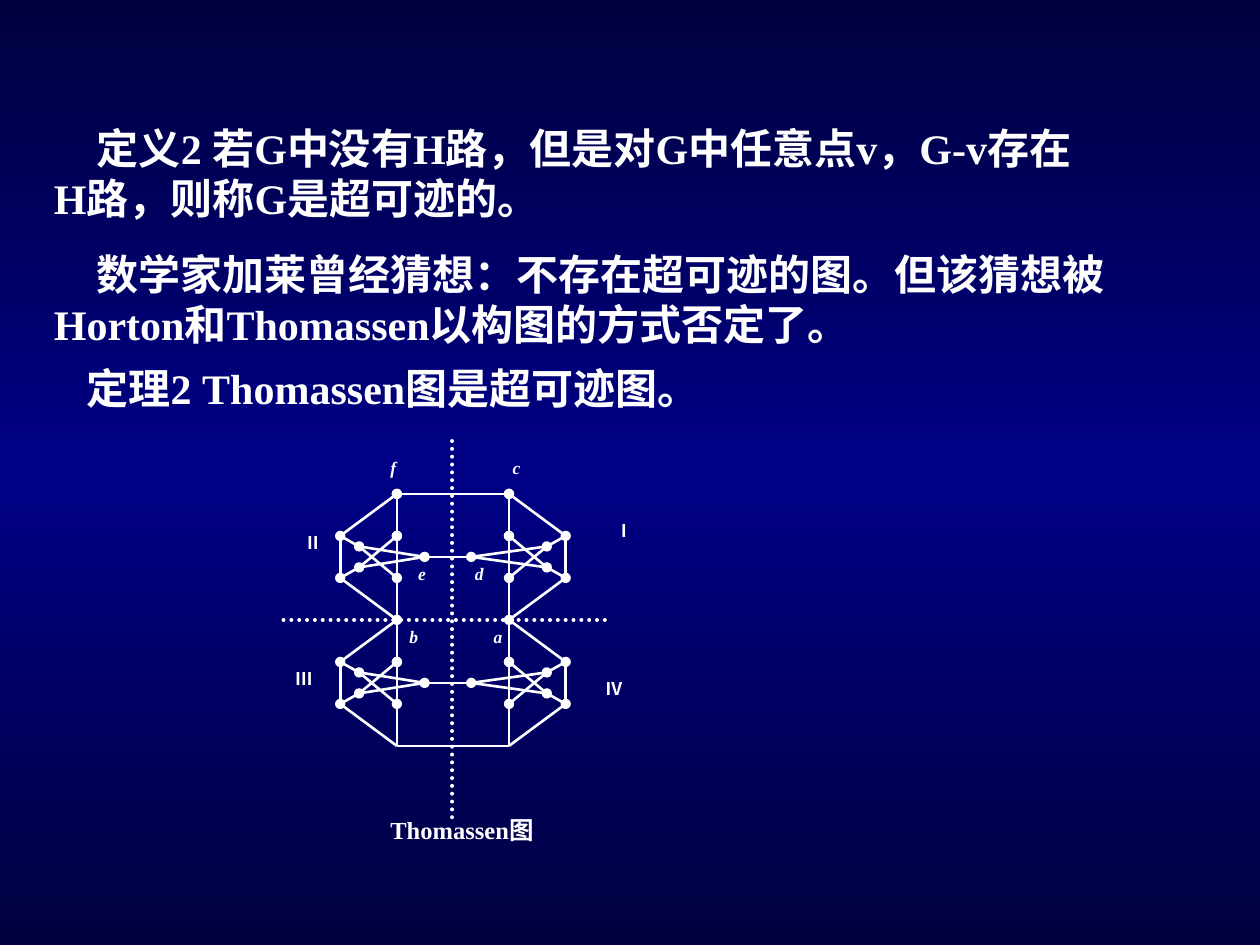
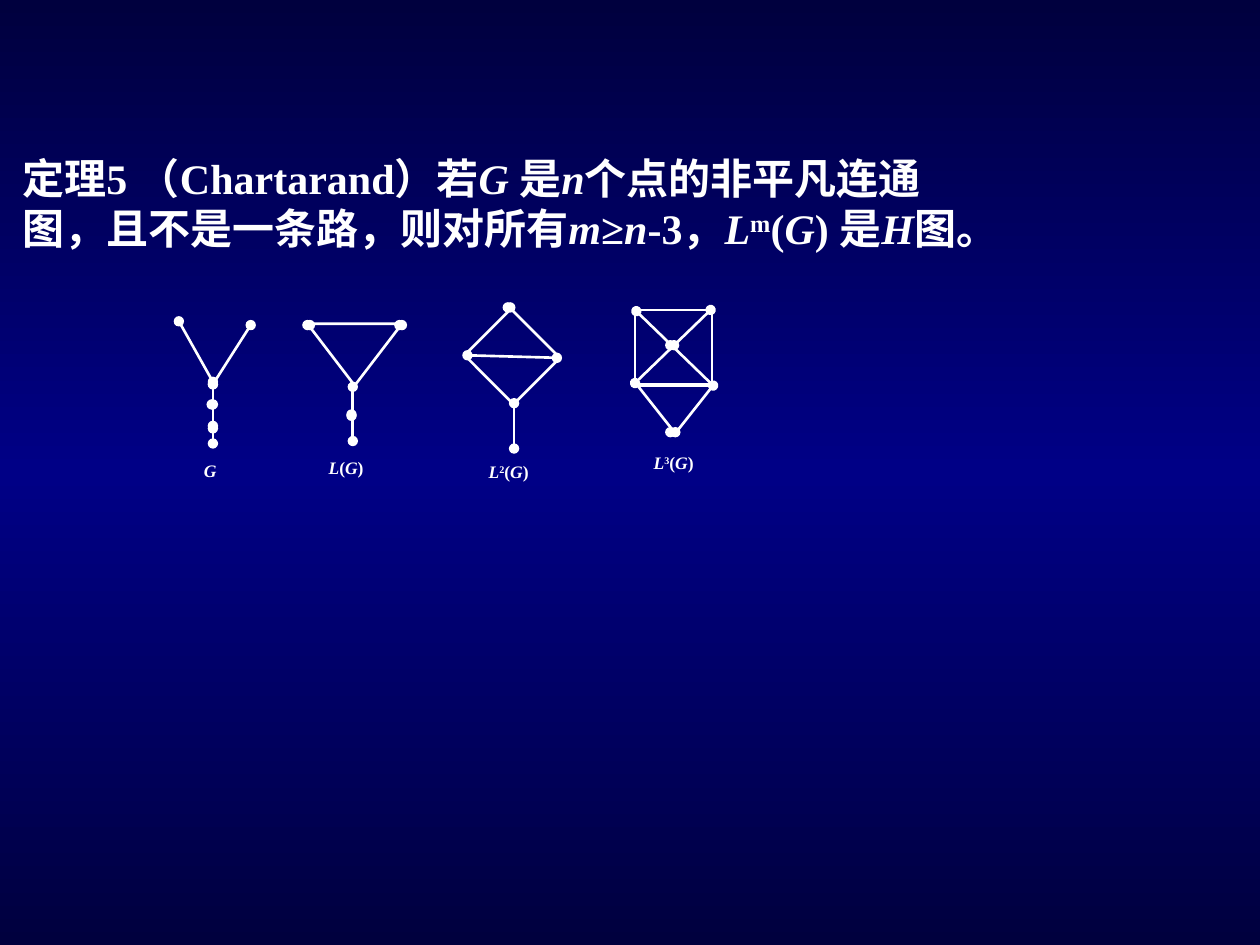
from lxml.etree import SubElement
from copy import deepcopy
from pptx import Presentation
from pptx.dml.color import RGBColor
from pptx.enum.dml import MSO_LINE
from pptx.enum.shapes import MSO_CONNECTOR, MSO_SHAPE
from pptx.enum.text import MSO_ANCHOR, MSO_AUTO_SIZE
from pptx.oxml.ns import qn
from pptx.util import Inches, Pt

WHITE = RGBColor(0xFF, 0xFF, 0xFF)
NIGHT = RGBColor(0x00, 0x00, 0x3E)
BLUE = RGBColor(0x00, 0x00, 0x86)
SERIF, SANS = "Times New Roman", "Noto Sans CJK SC"

# Slide 1: body text (left, top, width, height, words)
BODY = [
    (0.33, 0.92, 8.42, 0.97,
     "定义2 若G中没有H路，但是对G中任意点v，G-v存在H路，则称G是超可迹的。"),
    (0.33, 1.92, 8.83, 0.97,
     "数学家加莱曾经猜想：不存在超可迹的图。但该猜想被Horton和Thomassen以构图的方式否定了。"),
    (0.25, 2.83, 8.83, 0.57, "定理2 Thomassen图是超可迹图。"),
]
NODES = [("a", 3.82, 4.92), ("b", 3.15, 4.92), ("d", 3.67, 4.42),
         ("e", 3.22, 4.42), ("f", 3.0, 3.58), ("c", 3.97, 3.58)]
PARTS = [("Ⅰ", 4.79, 4.08, 0.3), ("Ⅱ", 2.32, 4.17, 0.35),
         ("Ⅲ", 2.25, 5.25, 0.3), ("Ⅳ", 4.71, 5.33, 0.4)]

# Thomassen graph: column places on each side, rows in twelfths of an inch
SIDES = [{"out": 2.7, "mid": 2.85, "in": 3.15, "tip": 3.37},
         {"out": 4.49, "mid": 4.34, "in": 4.04, "tip": 3.74}]
TOPS = [3.92, 4.92]
LOW = 5.92
# Edges of one quarter: column, row, column, row, dots at the ends
EDGES = [
    ("in", 0, "in", 4, True), ("in", 4, "in", 8, True), ("in", 8, "in", 12, False),
    ("in", 0, "out", 4, False), ("out", 4, "out", 8, False), ("out", 8, "in", 12, False),
    ("out", 4, "mid", 5, True), ("out", 8, "mid", 7, True),
    ("mid", 5, "tip", 6, False), ("mid", 7, "tip", 6, False),
    ("mid", 5, "in", 8, False), ("mid", 7, "in", 4, False),
]
AXES = [(3.59, 3.5, 3.59, 6.5), (2.25, 4.92, 4.86, 4.92)]

# Slide 2: "|" switches italic on and off, "^" switches raised text
CLAIM = ["定理5 （Chartarand）若|G |是|n|个点的非平凡连通",
         "图，且不是一条路，则对所有|m|≥|n|-3，|L|^m^(|G|) 是|H|图。"]
NAMES = [("|G", 1.52, 3.6, 0.36), ("|L|(|G|)", 2.51, 3.58, 0.59),
         ("|L|^2^(|G|)", 3.78, 3.61, 0.67), ("|L|^3^(|G|)", 5.09, 3.54, 0.67)]
# Dotted edges of each graph: x1, y1, x2, y2
LINKS = {
    "G": [(1.42, 2.55, 1.69, 3.03), (1.69, 3.05, 1.99, 2.58), (1.69, 3.05, 1.69, 3.52),
          (1.68, 3.21, 1.69, 3.21), (1.69, 3.4, 1.69, 3.38)],
    "L1": [(2.8, 3.07, 2.8, 3.5), (3.17, 2.58, 3.19, 2.58), (2.44, 2.58, 2.46, 2.58),
           (2.79, 3.3, 2.79, 3.29)],
    "L2": [(3.71, 2.82, 4.42, 2.84), (4.08, 3.2, 4.08, 3.56), (4.03, 2.44, 4.05, 2.44)],
    "L3": [(5.66, 3.06, 5.05, 2.47), (5.64, 2.46, 5.04, 3.04), (5.32, 2.74, 5.35, 2.74),
           (5.32, 3.43, 5.36, 3.43)],
}
# Outlines: preset, left, top, width, height, turn
FORMS = [
    (MSO_SHAPE.ISOSCELES_TRIANGLE, 2.44, 2.57, 0.75, 0.49, 0),
    (MSO_SHAPE.RECTANGLE, 3.79, 2.57, 0.55, 0.52, 45),
    (MSO_SHAPE.RECTANGLE, 5.04, 2.46, 0.61, 0.59, 0),
    (MSO_SHAPE.ISOSCELES_TRIANGLE, 5.06, 3.06, 0.6, 0.38, 0),
]


def new_slide(prs):
    """Blank slide with the dark-blue-dark gradient."""
    slide = prs.slides.add_slide(prs.slide_layouts[6])
    fill = slide.background.fill
    fill.gradient()
    fill.gradient_angle = 270
    first, last = fill.gradient_stops
    first.color.rgb, last.color.rgb = NIGHT, BLUE
    first.position, last.position = 0, 0.5
    stops = list(slide.element.iter(qn("a:gs")))
    end = deepcopy(stops[0])
    end.set("pos", "100000")
    stops[1].addnext(end)
    return slide


def add_text(slide, lines, x, y, w, h, size=10, font=SERIF, italic=False,
             indent=0, wrap=True, anchor=MSO_ANCHOR.TOP, grow=False):
    box = slide.shapes.add_textbox(Inches(x), Inches(y), Inches(w), Inches(h))
    frame = box.text_frame
    frame.word_wrap, frame.vertical_anchor = wrap, anchor
    if grow:
        frame.auto_size = MSO_AUTO_SIZE.SHAPE_TO_FIT_TEXT
    for n, line in enumerate(lines):
        para = frame.add_paragraph() if n else frame.paragraphs[0]
        if indent:
            para._p.get_or_add_pPr().set("indent", str(Inches(indent)))
        for i, piece in enumerate(line.split("|")):
            for j, word in enumerate(piece.split("^")):
                if not word:
                    continue
                run = para.add_run()
                run.text = word
                face = run.font
                face.name, face.size, face.bold = font, Pt(size), True
                face.italic = italic or i % 2 == 1
                face.color.rgb = WHITE
                props = run._r.get_or_add_rPr()
                SubElement(props, qn("a:ea")).set("typeface", SANS)
                if j % 2:
                    props.set("baseline", "30000")


def add_line(slide, x1, y1, x2, y2, dots=False, axis=False):
    link = slide.shapes.add_connector(
        MSO_CONNECTOR.STRAIGHT, Inches(x1), Inches(y1), Inches(x2), Inches(y2))
    link.line.color.rgb = WHITE
    link.line.width = Pt(2.25 if axis else 1.5)
    if axis:
        link.line.dash_style = MSO_LINE.ROUND_DOT
        link.line._ln.set("cap", "rnd")
    if dots:
        for tag in ("a:headEnd", "a:tailEnd"):
            SubElement(link.line._ln, qn(tag)).set("type", "oval")
    SubElement(link._element.spPr, qn("a:effectLst"))


def add_form(slide, kind, x, y, w, h, turn):
    form = slide.shapes.add_shape(kind, Inches(x), Inches(y), Inches(w), Inches(h))
    form.shadow.inherit = False
    form.fill.background()
    form.line.color.rgb = WHITE
    form.line.width = Pt(1.5)
    form.rotation = turn
    if kind == MSO_SHAPE.ISOSCELES_TRIANGLE:
        form._element.spPr.xfrm.set("flipV", "1")


def draw_trace(prs):
    slide = new_slide(prs)
    for x, y, w, h, words in BODY:
        add_text(slide, [words], x, y, w, h, size=24, indent=0.34, grow=True)
    # Labels
    for name, x, y in NODES:
        add_text(slide, [name], x, y, 0.3, 0.29, italic=True)
    for name, x, y, w in PARTS:
        add_text(slide, [name], x, y, w, 0.29, font=SANS)
    add_text(slide, ["Thomassen图"], 3.0, 6.42, 1.57, 0.29, size=14)
    # Four quarters and the bars that join them
    left, right = SIDES
    for top in TOPS:
        for side in SIDES:
            for c1, r1, c2, r2, dots in EDGES:
                add_line(slide, side[c1], top + r1 / 12, side[c2], top + r2 / 12, dots)
        add_line(slide, left["tip"], top + 0.5, right["tip"], top + 0.5, True)
    add_line(slide, left["in"], TOPS[0], right["in"], TOPS[0], True)
    add_line(slide, left["in"], LOW, right["in"], LOW)
    for ends in AXES:
        add_line(slide, *ends, axis=True)


def draw_power(prs):
    slide = new_slide(prs)
    add_text(slide, CLAIM, 0.08, 1.16, 8.42, 0.9, size=24, wrap=False,
             anchor=MSO_ANCHOR.MIDDLE, grow=True)
    for name, x, y, w in NAMES:
        add_text(slide, [name], x, y, w, 0.3)
    for form in FORMS:
        add_form(slide, *form)
    for links in LINKS.values():
        for ends in links:
            add_line(slide, *ends, dots=True)


def main():
    prs = Presentation()
    prs.slide_width, prs.slide_height = Inches(10), Inches(7.5)
    draw_trace(prs)
    draw_power(prs)
    prs.save("out.pptx")


if __name__ == "__main__":
    main()
